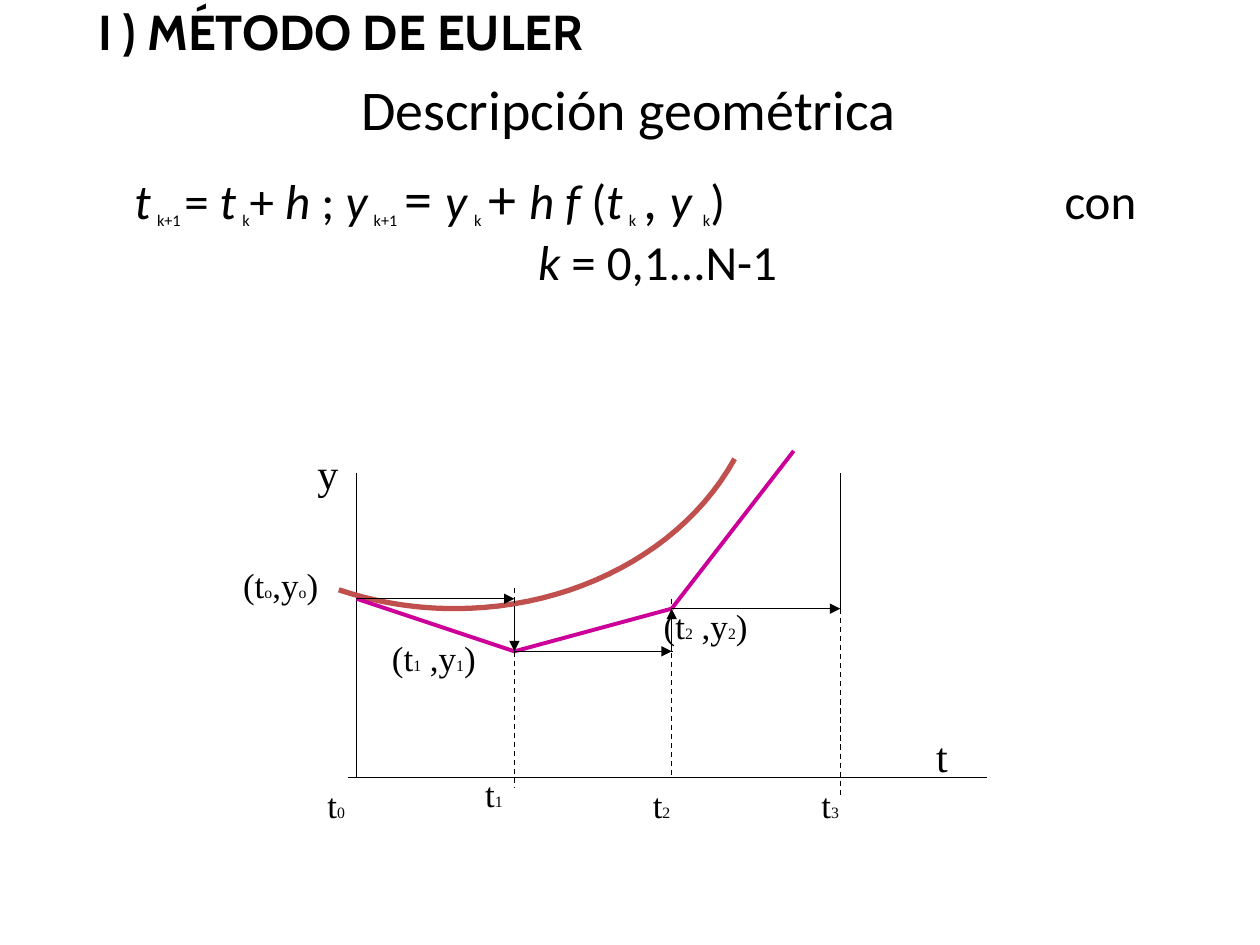
from itertools import pairwise

from lxml.etree import SubElement
from pptx import Presentation
from pptx.dml.color import RGBColor
from pptx.enum.dml import MSO_LINE
from pptx.enum.shapes import MSO_CONNECTOR
from pptx.enum.text import MSO_ANCHOR, PP_ALIGN
from pptx.oxml.ns import qn
from pptx.util import Cm, Pt

BLACK, MAGENTA, RED = "000000", "CC0099", "C0504D"
SERIF = "Times New Roman"


def color(value):
    """Turn a hex string into a colour."""
    return RGBColor.from_string(value)


def add_runs(p, runs, font="Calibri", bold=False):
    """Fill a paragraph with (text, size, italic, subscript) runs."""
    for text, size, italic, sub in runs:
        r = p.add_run()
        r.text = text
        r.font.name, r.font.size = font, Pt(size)
        r.font.bold, r.font.italic = bold, italic
        r.font.color.rgb = color(BLACK)
        if sub:
            r.font._element.set("baseline", "-25000")


def add_text(s, box, runs, align=PP_ALIGN.LEFT, anchor=MSO_ANCHOR.TOP, **fmt):
    """Add a wrapping text box with one paragraph and return its frame."""
    tf = s.shapes.add_textbox(*map(Cm, box)).text_frame
    tf.word_wrap = True
    tf.vertical_anchor = anchor
    tf.paragraphs[0].alignment = align
    add_runs(tf.paragraphs[0], runs, **fmt)
    return tf


def add_line(s, start, end, hex_color=BLACK, width=0.75, dash=False, arrow=False):
    """Draw a straight line, dashed or with an arrowhead if asked."""
    c = s.shapes.add_connector(MSO_CONNECTOR.STRAIGHT, *map(Cm, start + end))
    c.line.color.rgb, c.line.width = color(hex_color), Pt(width)
    if dash:
        c.line.dash_style = MSO_LINE.DASH
    if arrow:
        SubElement(c.line._get_or_add_ln(), qn("a:tailEnd"), type="triangle")
    SubElement(c._element.spPr, qn("a:effectLst"))


def bezier(p0, p1, p2, p3, steps=24):
    """Return points along a cubic curve, without its start."""
    points = []
    for i in range(1, steps + 1):
        t = i / steps
        u = 1 - t
        points.append(tuple(u**3 * a + 3 * u * u * t * b + 3 * u * t * t * c + t**3 * d
                            for a, b, c, d in zip(p0, p1, p2, p3)))
    return points


def add_headings(s, x, y, w):
    """Place the section heading and the slide title."""
    add_text(s, (x, y, w, 1.45), [("I ) MÉTODO DE EULER", 28, False, False)],
             font="Cabin", bold=True)
    add_text(s, (x + 0.15, y + 1.32, w + 0.36, 1.9),
             [("Descripción geométrica", 32, False, False)],
             align=PP_ALIGN.CENTER, anchor=MSO_ANCHOR.MIDDLE)


def add_formula(s, x, y, w, h):
    """Place the recurrence and, below it, the range of k."""
    def var(text):
        return text, 28, True, False

    def op(text, size=28):
        return text, size, False, False

    def sub(text):
        return text, 16, False, True

    gap, wide = op(" ", 16), op(" ", 18)
    runs = [var("t"), gap, sub("k+1 "), op("= "), var("t"), gap, sub("k"),
            op("+ "), var("h"), op(" ; "), var("y"), gap, sub("k+1"), wide,
            op("= ", 32), var("y"), wide, sub("k"), wide, op("+ ", 32),
            var("h f"), op(" ("), var("t"), gap, sub("k"), wide, op(", ", 32),
            var("y "), sub("k"), op(")\tcon")]
    tf = add_text(s, (x, y, w, h), runs)
    tf.margin_left = Cm(0.81)
    tabs = SubElement(tf.paragraphs[0]._p.get_or_add_pPr(), qn("a:tabLst"))
    SubElement(tabs, qn("a:tab"), pos=str(Cm(18.75)), algn="l")
    p = tf.add_paragraph()
    p.alignment = PP_ALIGN.CENTER
    p._p.get_or_add_pPr().set("marL", str(Cm(0.56)))
    add_runs(p, [var("k "), op("= 0,1...N-1")])


def add_graph(s, x, y, w, h):
    """Draw the solution curve, the Euler steps, the axes and the labels."""
    t0, t1, t2, t3 = 2.54, 5.72, 8.89, 12.29
    y0, y1, y2 = 3.18, 4.24, 3.38
    top, base = 0.64, h - 1.09

    def at(point):
        return x + point[0], y + point[1]

    def line(start, end, **fmt):
        add_line(s, at(start), at(end), **fmt)

    line((t0, top), (t0, base))
    line((2.36, base), (w - 0.2, base))

    start, mid, end = (2.18, 3.0), (4.52, 3.38), (10.16, 0.36)
    points = bezier(start, (2.92, 3.25), (3.71, 3.38), mid)
    points += bezier(mid, (6.93, 3.38), (9.14, 2.21), end)
    fb = s.shapes.build_freeform(*map(Cm, at(start)))
    fb.add_line_segments([tuple(map(Cm, at(p))) for p in points], close=False)
    curve = fb.convert_to_shape()
    curve.shadow.inherit = False
    curve.fill.background()
    curve.line.color.rgb, curve.line.width = color(RED), Pt(3)

    for a, b in pairwise([(t0, y0), (t1, y1), (t2, y2), (11.35, 0.2)]):
        line(a, b, hex_color=MAGENTA, width=2.25)
    for a, b in [((t2, y2), (12.14, y2)), ((t1, 2.97), (t1, 6.98)),
                 ((t1, y1), (8.97, y1)), ((t2, y0), (t2, base)),
                 ((t3, 0.84), (t3, 7.19))]:
        line(a, b, dash=True)
    for a, b in [((t0, y0), (t1, y0)), ((t1, y2), (t1, y1)),
                 ((t1, y1), (t2, y1)), ((t2, y1), (t2, y2)),
                 ((t2, y2), (t3, y2))]:
        line(a, b, arrow=True)
    line((t3, y2), (t3, top))

    def label(left, upper, width, *parts, size=20):
        runs = [(part, 9 if i % 2 else size, False, False)
                for i, part in enumerate(parts)]
        add_text(s, (*at((left, upper)), width, 1.09), runs, font=SERIF)

    label(1.7, base, 1.3, "t", "0")
    label(4.88, base - 0.23, 1.3, "t", "1")
    label(8.26, base, 1.3, "t", "2")
    label(11.66, base, 1.3, "t", "3")
    label(0, 2.34, 2.49, "(t", "o", ",y", "o", ")")
    label(3, 3.81, 3.51, "(t", "1", " ,y", "1", ")")
    label(8.48, 3.18, 3, "(t", "2", " ,y", "2", ")")
    label(13.97, 5.72, 1.47, "t", size=24)
    label(1.5, 0, 0.84, "y", size=24)


def main():
    """Build the slide and save it."""
    prs = Presentation()
    prs.slide_width, prs.slide_height = Cm(25.4), Cm(19.05)
    s = prs.slides.add_slide(prs.slide_layouts[6])
    add_headings(s, 1.73, -0.1, 21.23)
    add_formula(s, 1.9, 3.18, 21.59, 14.17)
    add_graph(s, 4.65, 8.89, 15.44, 7.87)
    prs.save("out.pptx")


if __name__ == "__main__":
    main()
